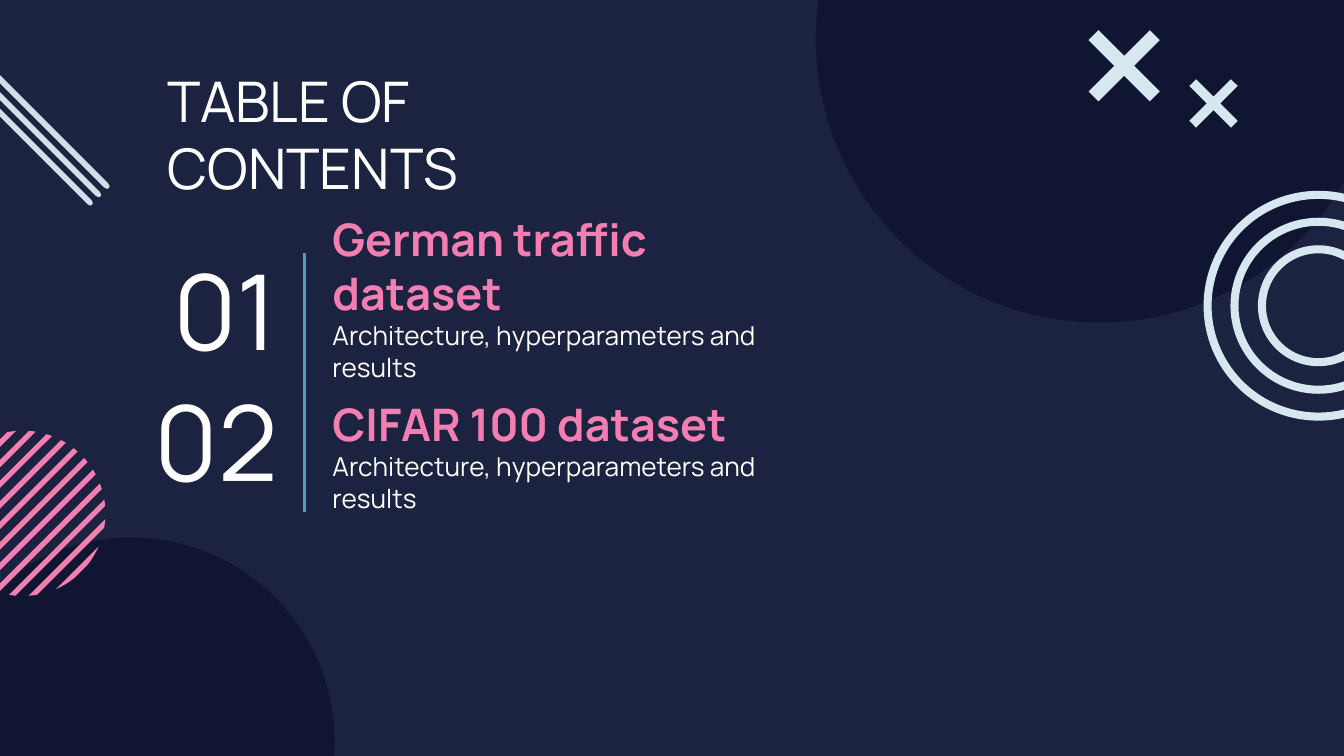
from math import acos, cos, pi, sin, sqrt

from lxml.etree import SubElement as Sub
from pptx import Presentation as Deck
from pptx.dml.color import RGBColor as Rgb
from pptx.enum.shapes import MSO_CONNECTOR as Conn, MSO_SHAPE as Form
from pptx.enum.text import MSO_ANCHOR as Anchor, PP_ALIGN as Align
from pptx.oxml.ns import qn
from pptx.util import Inches, Pt

# The slide is a grid of 100 columns by 56.25 rows
COLS, ROWS = 100, 56.25
HUES = {"back": "1C2340", "deep": "101632", "pink": "F27EB2", "ice": "D7E7EF",
        "bar": "D2DFE9", "rule": "559ABA", "text": "FFFFFF"}
HEAD = {"size": Pt(30)}
NUM = {"size": Pt(56)}
NAME = {"size": Pt(24), "bold": True}
NOTE = {"size": Pt(14)}
ITEMS = [("01", "German traffic dataset", 18.25, 37.8),
         ("02", "CIFAR 100 dataset", 28, 31.6)]


def cell(n):
    return Inches(n / 10)


def hue(key):
    return Rgb.from_string(HUES[key])


def paint(shape, key):
    shape.shadow.inherit = False
    shape.fill.solid()
    shape.fill.fore_color.rgb = hue(key)
    shape.line.fill.background()


def disc(slide, x, y, r, key, form=Form.OVAL):
    """Round shape about the centre x, y."""
    box = [cell(n) for n in (x - r, y - r, 2 * r, 2 * r)]
    shape = slide.shapes.add_shape(form, *box)
    paint(shape, key)
    return shape


def ring(slide, x, y, r, width):
    shape = disc(slide, x, y, r, "ice", Form.DONUT)
    shape.adjustments[0] = width / (2 * r)


def poly(slide, spots, key):
    spots = [(cell(x), cell(y)) for x, y in spots]
    pen = slide.shapes.build_freeform(*spots[0])
    pen.add_line_segments(spots[1:], close=True)
    paint(pen.convert_to_shape(), key)


def hatch(slide, x, y, r, first, gap, width, count):
    """Diagonal stripes cut to a circle; first is the offset along x + y."""
    def half(off):
        return acos(max(-1, min(1, off / (sqrt(2) * r))))

    steps = 8
    for i in range(count):
        start = first + i * gap
        near, far = half(start), half(start + width)
        arc = [near + (far - near) * k / steps for k in range(steps + 1)]
        turns = [pi / 4 - a for a in arc] + [pi / 4 + a for a in reversed(arc)]
        poly(slide, [(x + r * cos(t), y + r * sin(t)) for t in turns], "pink")


def cross(slide, x, y, r):
    arm = 0.28 * r
    spots = [(0, -arm), (arm - r, -r), (-r, arm - r)]
    for _ in range(3):
        spots += [(b, -a) for a, b in spots[-3:]]
    poly(slide, [(x + a, y + b) for a, b in spots], "ice")


def bar(slide, x, y, size):
    """Slim diagonal bar with blunt tips, inside a square."""
    tip = [(0, 0.2), (0.05, 0.05), (0.2, 0), (0.4, 0.1)]
    end = [(size - a, size - b) for a, b in tip]
    spots = tip + [(size - 0.1, size - 0.4)] + end + [(0.1, 0.4)]
    poly(slide, [(x + a, y + b) for a, b in spots], "bar")


def label(slide, box, text, font, key="text", anchor=Anchor.TOP, align=Align.LEFT):
    frame = slide.shapes.add_textbox(*[cell(n) for n in box]).text_frame
    pad = Inches(0.1)
    form = {"word_wrap": True, "vertical_anchor": anchor, "margin_left": pad,
            "margin_right": pad, "margin_top": pad, "margin_bottom": pad}
    for name, value in form.items():
        setattr(frame, name, value)
    para = frame.paragraphs[0]
    para.alignment = align
    run = para.add_run()
    run.text = text
    for name, value in {"name": "Manrope", **font}.items():
        setattr(run.font, name, value)
    run.font.color.rgb = hue(key)


def rule(slide, x, top, low):
    line = slide.shapes.add_connector(
        Conn.STRAIGHT, cell(x), cell(top), cell(x), cell(low))
    line.line.color.rgb = hue("rule")
    line.line.width = Pt(1.5)
    Sub(line._element.spPr, qn("a:effectLst"))


def decor(slide):
    # Dark discs
    disc(slide, 9.75, 55.15, 15.15, "deep")
    disc(slide, 81.8, 2.9, 21.1, "deep")
    # Striped disc
    hatch(slide, 1.7, 38.2, 6.15, -7.2, 1.53, 0.55, 11)
    # Rings
    for r in (8.55, 6.55, 4.5):
        ring(slide, 98.1, 22.75, r, 0.6)
    # Bars
    for i in range(3):
        bar(slide, -3.6 - 0.62 * i, 2.3 + 0.62 * i, 11.75)
    # Crosses
    cross(slide, 90.3, 7.7, 1.8)
    cross(slide, 83.65, 4.9, 2.65)


def main():
    deck = Deck()
    deck.slide_width, deck.slide_height = cell(COLS), cell(ROWS)
    slide = deck.slides.add_slide(deck.slide_layouts[6])
    slide.background.fill.solid()
    slide.background.fill.fore_color.rgb = hue("back")

    decor(slide)
    label(slide, (11.5, 3.95, 40.5, 9.8), "TABLE OF CONTENTS", HEAD)
    # Contents
    for num, name, top, wide in ITEMS:
        label(slide, (7.15, top + 3.4, 14.5, 2.6), num, NUM,
              anchor=Anchor.MIDDLE, align=Align.RIGHT)
        label(slide, (23.75, top, wide, 6.5), name, NAME, "pink", Anchor.BOTTOM)
        label(slide, (23.75, top + 4.55, 39.5, 4.4),
              "Architecture, hyperparameters and results", NOTE)
    rule(slide, 22.65, 18.85, 38.1)
    deck.save("out.pptx")


if __name__ == "__main__":
    main()
